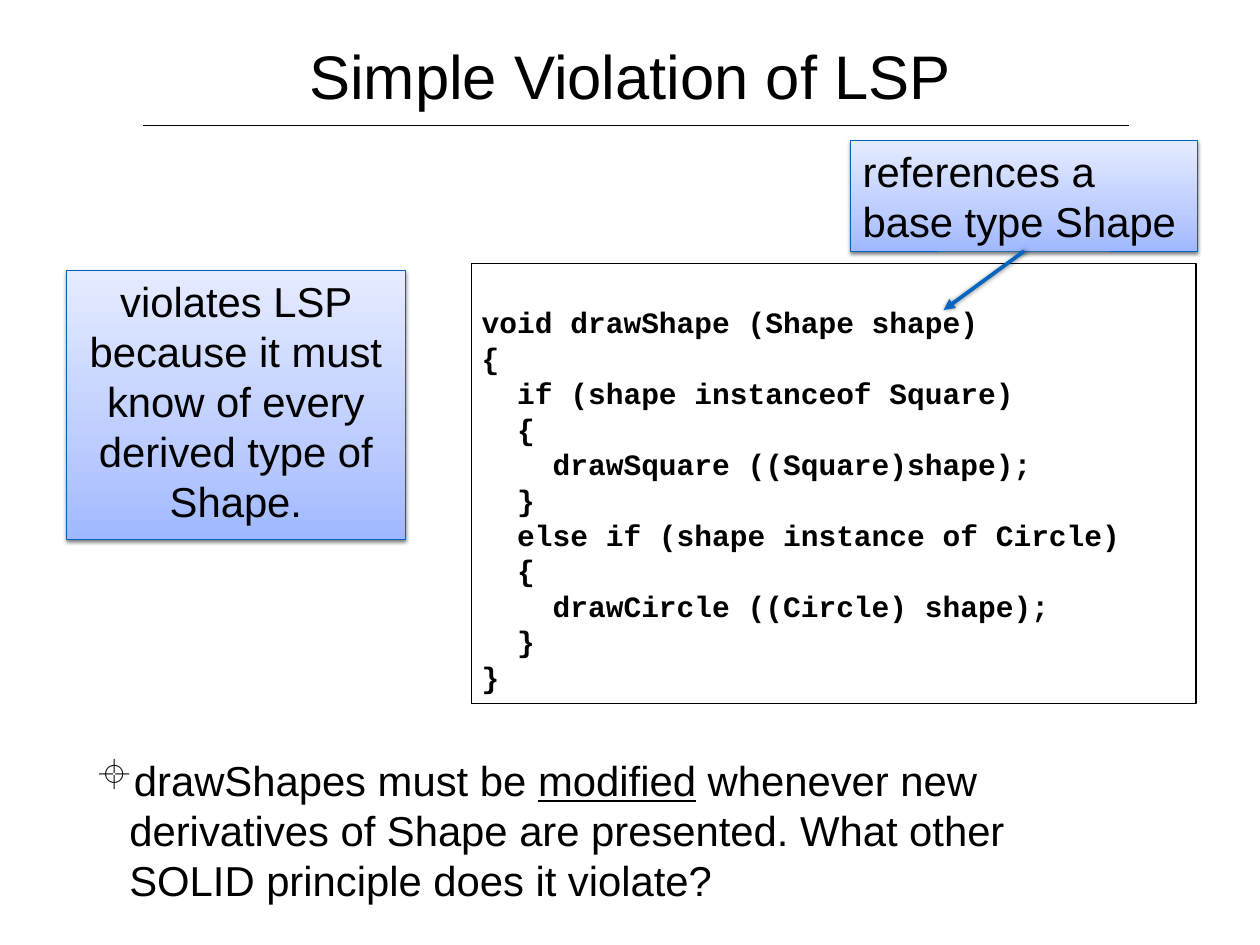
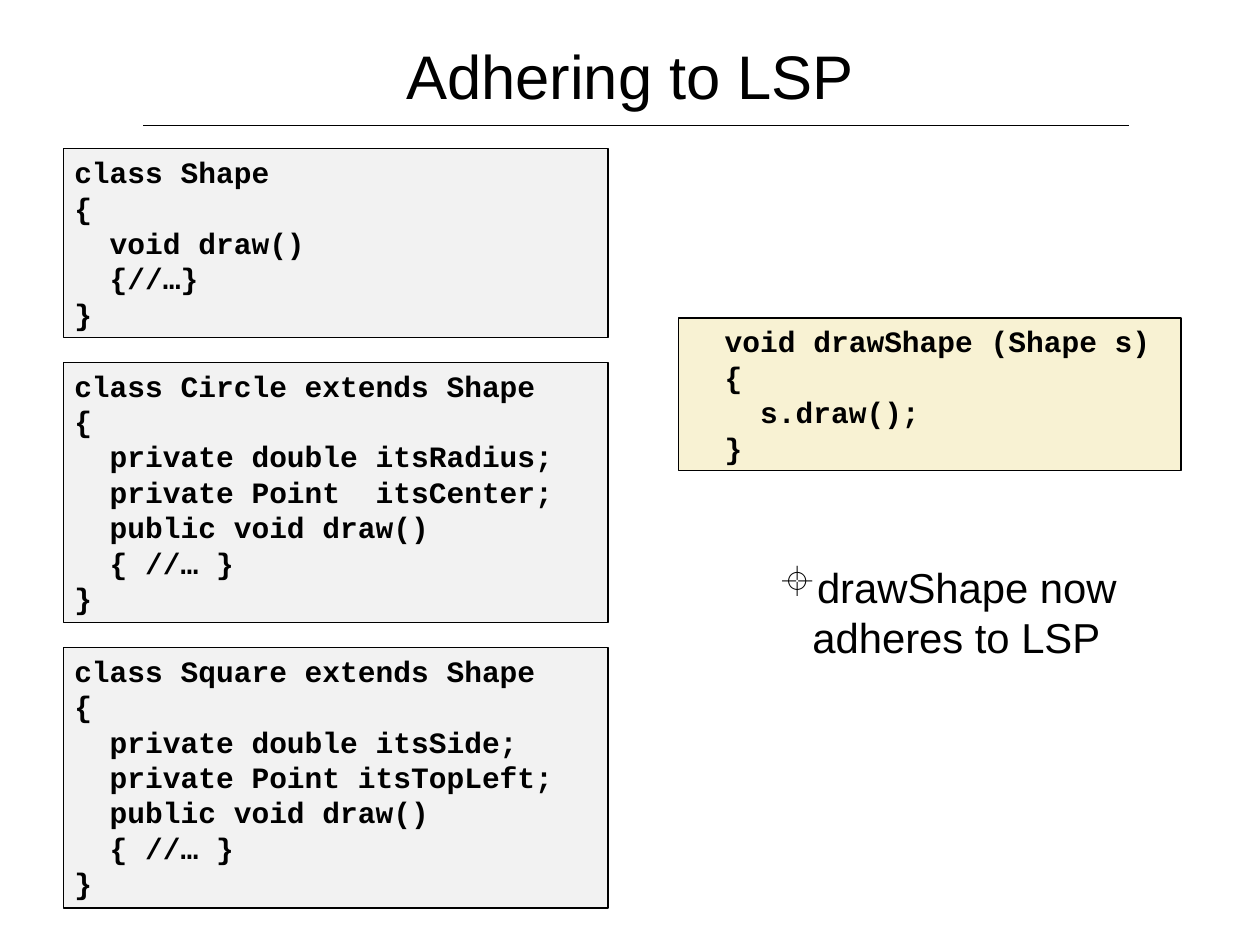
from copy import deepcopy

from lxml.etree import SubElement
from pptx import Presentation
from pptx.dml.color import RGBColor
from pptx.enum.shapes import MSO_CONNECTOR, MSO_SHAPE
from pptx.enum.text import MSO_ANCHOR, PP_ALIGN
from pptx.oxml.ns import qn
from pptx.util import Cm, Pt

BLACK = RGBColor(0x00, 0x00, 0x00)
GRAY = RGBColor(0xF2, 0xF2, 0xF2)
CREAM = RGBColor(0xF8, 0xF2, 0xD3)
CALLOUT_LINE = RGBColor(0x00, 0x63, 0xBF)
ARROW_BLUE = RGBColor(0x03, 0x65, 0xC0)
CALLOUT_STOPS = [
    (0, RGBColor(0xA0, 0xB8, 0xFF)),
    (0.35, RGBColor(0xBC, 0xCC, 0xFF)),
    (1, RGBColor(0xE5, 0xEB, 0xFF)),
]

TITLE_FONT = {"name": "Arial", "size": Pt(50)}
BODY_FONT = {"name": "Arial", "size": Pt(34)}
CODE_FONT = {"name": "Courier New", "size": Pt(24), "bold": True}

# In Wingdings the character ± is drawn as the target sign ⌖.
BULLET_FONT = "Wingdings"
BULLET = "±"

LINE_RATIO = 1.2
INSET = 0.15
CODE_LINE = 1.03
CODE_PADDING = 0.26

DRAW_BY_TYPE = """void drawShape (Shape shape)
{
  if (shape instanceof Square)
  {
    drawSquare ((Square)shape);
  }
  else if (shape instance of Circle)
  {
    drawCircle ((Circle) shape);
  }
}"""

SHAPE_CLASS = """class Shape
{
  void draw()
  {//…}
}"""

CIRCLE_CLASS = """class Circle extends Shape
{
  private double itsRadius;
  private Point  itsCenter;
  public void draw()
  { //… }
}"""

SQUARE_CLASS = """class Square extends Shape
{
  private double itsSide;
  private Point itsTopLeft;
  public void draw()
  { //… }
}"""

DRAW_ANY = """  void drawShape (Shape s)
  {
    s.draw();
  }"""


def apply_format(target, values):
    for attribute, value in values.items():
        setattr(target, attribute, value)


def prepare_frame(frame, anchor=MSO_ANCHOR.TOP, side=INSET, top=INSET):
    apply_format(frame, {
        "word_wrap": True, "vertical_anchor": anchor,
        "margin_left": Cm(side), "margin_right": Cm(side),
        "margin_top": Cm(top), "margin_bottom": Cm(INSET),
    })


def write_paragraph(paragraph, runs, font, align=PP_ALIGN.LEFT,
                    margin=0, bullet=None):
    """Fill a paragraph with (text, underlined) runs."""
    properties = paragraph._p.get_or_add_pPr()
    properties.set("marL", str(Cm(margin)))
    if bullet:
        properties.set("indent", str(Cm(-0.97)))
        color = SubElement(properties, qn("a:buClr"))
        SubElement(color, qn("a:srgbClr"), val=str(BLACK))
        SubElement(properties, qn("a:buFont"), typeface=BULLET_FONT,
                   pitchFamily="2", charset="2")
        SubElement(properties, qn("a:buChar"), char=bullet)
    apply_format(paragraph, {
        "alignment": align, "line_spacing": Pt(font["size"].pt * LINE_RATIO)})
    for text, underlined in runs:
        run = paragraph.add_run()
        run.text = text
        apply_format(run.font, font)
        run.font.color.rgb = BLACK
        if underlined:
            run.font.underline = True


def add_shadow(shape, blur, distance, degrees):
    properties = shape._element.spPr
    effects = properties.find(qn("a:effectLst"))
    shadow = SubElement(
        effects, qn("a:outerShdw"), blurRad=str(Pt(blur)),
        dist=str(Pt(distance)), dir=str(degrees * 60000), rotWithShape="0")
    color = SubElement(shadow, qn("a:srgbClr"), val=str(BLACK))
    SubElement(color, qn("a:alpha"), val="50000")


def add_rule(slide, start, end, color, width):
    rule = slide.shapes.add_connector(
        MSO_CONNECTOR.STRAIGHT, *map(Cm, start + end))
    rule.line.color.rgb = color
    rule.line.width = Pt(width)
    SubElement(rule._element.spPr, qn("a:effectLst"))
    return rule


def add_titled_slide(deck, title):
    slide = deck.slides.add_slide(deck.slide_layouts[6])
    add_rule(slide, (4.11, 3.6), (32.36, 3.6), BLACK, 1)
    heading = slide.shapes.add_textbox(Cm(1.8), Cm(0), Cm(32.54), Cm(4.3))
    prepare_frame(heading.text_frame, MSO_ANCHOR.MIDDLE)
    write_paragraph(heading.text_frame.paragraphs[0], [(title, False)],
                    TITLE_FONT, PP_ALIGN.CENTER)
    return slide


def add_bullet(slide, left, top, width, height, runs):
    body = slide.shapes.add_textbox(*map(Cm, (left, top, width, height)))
    prepare_frame(body.text_frame)
    write_paragraph(body.text_frame.paragraphs[0], runs, BODY_FONT,
                    margin=1.07, bullet=BULLET)


def add_box(slide, left, top, width, height, line_color, line_width):
    box = slide.shapes.add_shape(
        MSO_SHAPE.RECTANGLE, *map(Cm, (left, top, width, height)))
    box.line.color.rgb = line_color
    box.line.width = Pt(line_width)
    box.shadow.inherit = False
    return box


def code_height(line_count):
    return CODE_PADDING + CODE_LINE * line_count


def add_code(slide, left, top, width, code, fill=None, lead_lines=0):
    """Add a framed listing, with lead_lines of free room above; return its bottom."""
    lines = code.split("\n")
    height = code_height(len(lines) + lead_lines)
    listing = add_box(slide, left, top, width, height, BLACK, 1)
    if fill is None:
        listing.fill.background()
    else:
        listing.fill.solid()
        listing.fill.fore_color.rgb = fill
    frame = listing.text_frame
    prepare_frame(frame, top=INSET + CODE_LINE * lead_lines)
    for index, line in enumerate(lines):
        paragraph = frame.add_paragraph() if index else frame.paragraphs[0]
        write_paragraph(paragraph, [(line, False)], CODE_FONT, margin=0.15)
    return top + height


def add_callout(slide, left, top, width, height, text, align,
                side=INSET, margin=0):
    callout = add_box(slide, left, top, width, height, CALLOUT_LINE, 0.75)
    fill = callout.fill
    fill.gradient()
    fill.gradient_angle = 90
    stop_list = callout._element.spPr.find(".//" + qn("a:gsLst"))
    stop_list.append(deepcopy(stop_list[-1]))
    for stop, (position, color) in zip(fill.gradient_stops, CALLOUT_STOPS):
        stop.position = position
        stop.color.rgb = color
    add_shadow(callout, 3, 2, 90)
    prepare_frame(callout.text_frame, side=side)
    write_paragraph(callout.text_frame.paragraphs[0], [(text, False)],
                    BODY_FONT, align, margin)
    return callout


def add_callout_arrow(slide, callout, tip):
    arrow = add_rule(slide, (0, 0), tip, ARROW_BLUE, 3)
    arrow.begin_connect(callout, 2)
    outline = arrow._element.spPr.find(qn("a:ln"))
    SubElement(outline, qn("a:tailEnd"), type="triangle")
    add_shadow(arrow, 4, 1, 0)


def build_violation(deck):
    slide = add_titled_slide(deck, "Simple Violation of LSP")
    add_bullet(slide, 2.49, 21.49, 29.5, 3.81, [
        ("drawShapes must be ", False),
        ("modified", True),
        (" whenever new derivatives of Shape are presented. "
         "What other SOLID principle does it violate?", False),
    ])
    add_code(slide, 13.51, 7.55, 20.78, DRAW_BY_TYPE, lead_lines=1)
    add_callout(
        slide, 1.9, 7.75, 9.73, 7.72,
        "violates LSP because it must know of every derived type of Shape.",
        PP_ALIGN.CENTER)
    base_type = add_callout(slide, 24.38, 4.03, 9.96, 3.17,
                            "references a base type Shape",
                            PP_ALIGN.LEFT, side=0.25, margin=0.1)
    add_callout_arrow(slide, base_type, (27.05, 8.89))


def build_adherence(deck):
    slide = add_titled_slide(deck, "Adhering to LSP")
    add_bullet(slide, 22.07, 15.95, 10.39, 3.2,
               [("drawShape now adheres to LSP", False)])
    class_top, class_gap = 4.27, 0.71
    for code in (SHAPE_CLASS, CIRCLE_CLASS, SQUARE_CLASS):
        class_top = class_gap + add_code(
            slide, 1.83, class_top, 15.6, code, GRAY)
    add_code(slide, 19.46, 9.12, 14.4, DRAW_ANY, CREAM)


def main():
    deck = Presentation()
    deck.slide_width, deck.slide_height = Cm(36.12), Cm(27.1)
    build_violation(deck)
    build_adherence(deck)
    deck.save("out.pptx")


if __name__ == "__main__":
    main()
